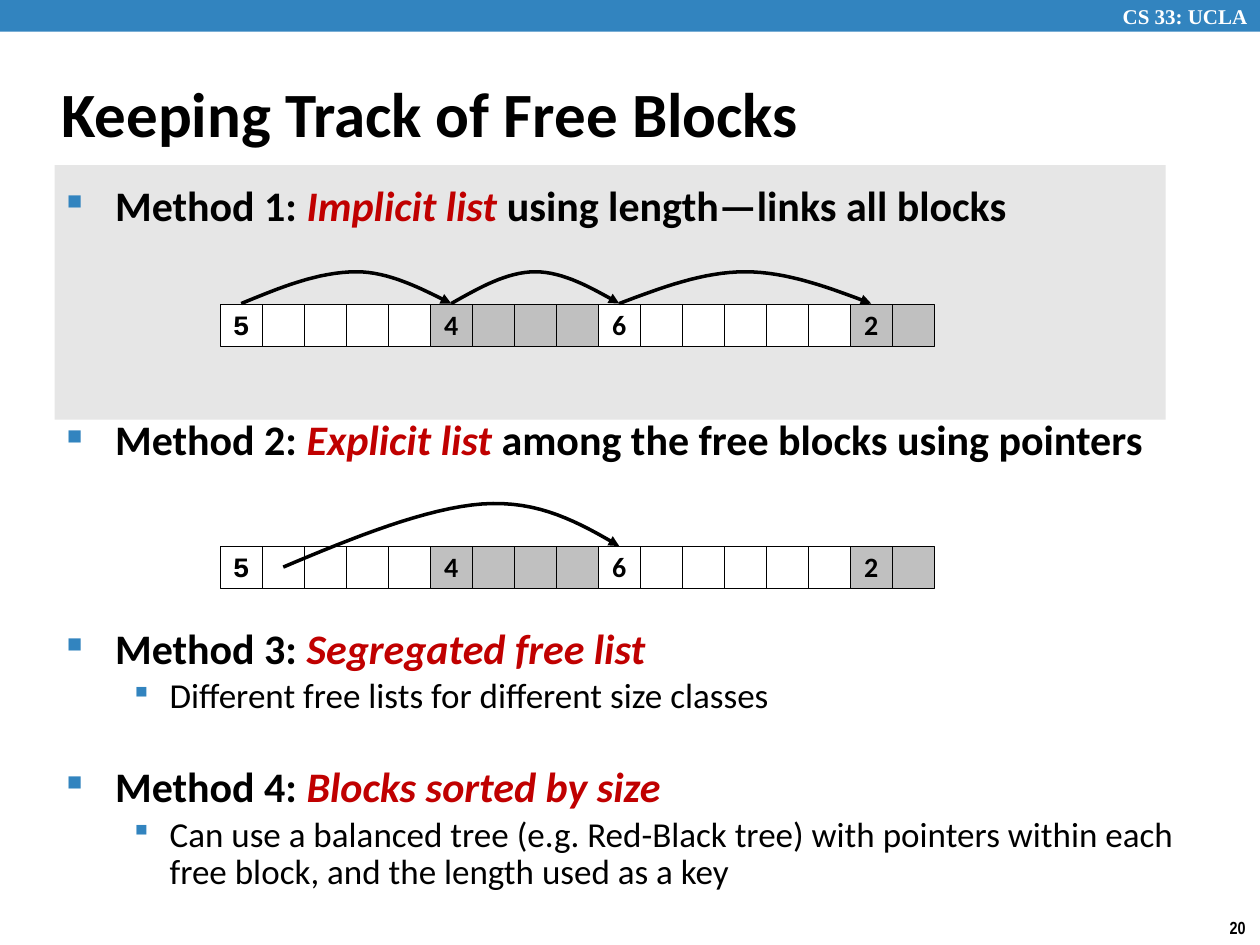
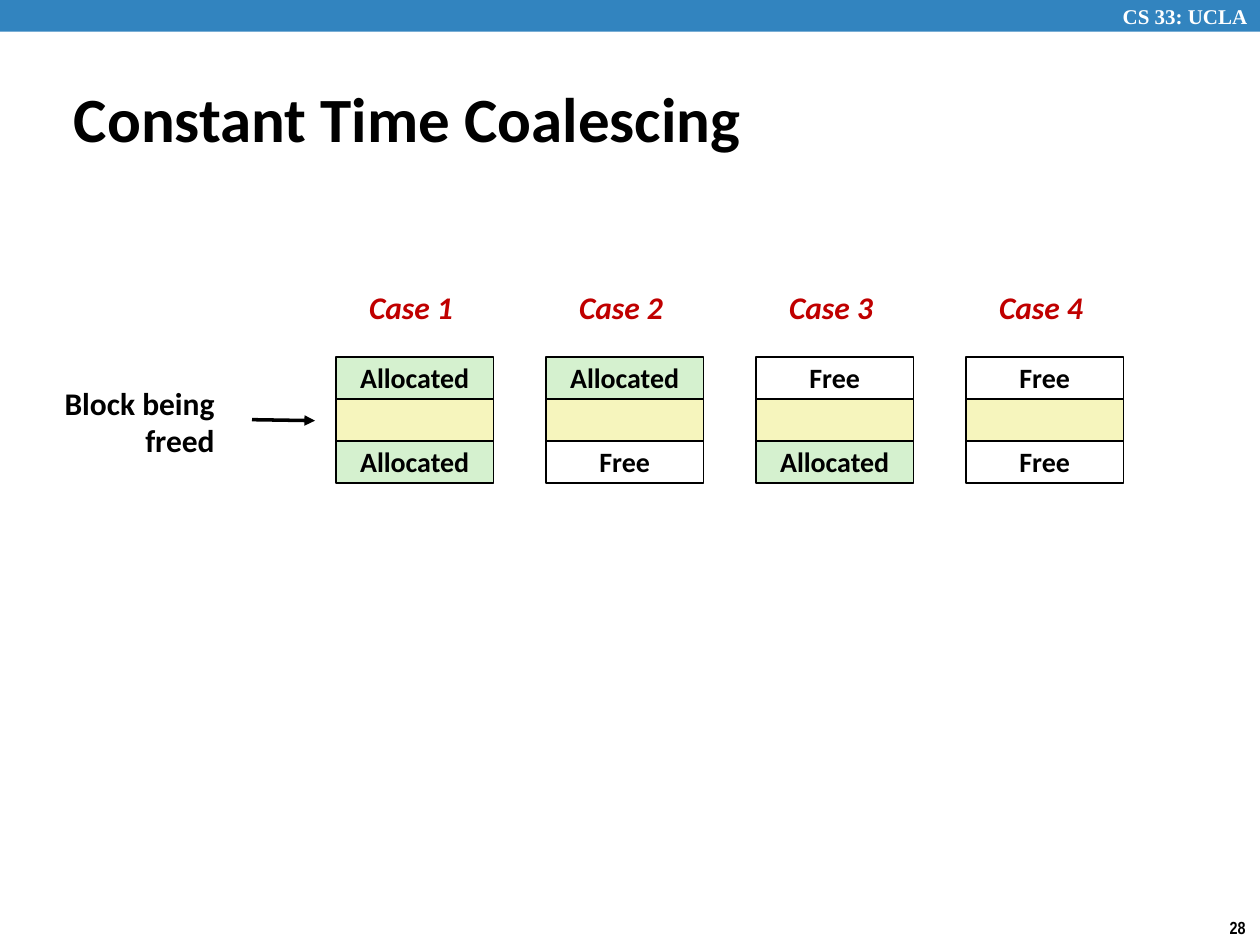
import pptx
import pptx.util
import pptx.dml.color
import pptx.enum.shapes
import pptx.enum.text
import pptx.oxml
import pptx.oxml.ns

Cm, Pt = pptx.util.Cm, pptx.util.Pt
RGBColor = pptx.dml.color.RGBColor
SHAPE = pptx.enum.shapes.MSO_SHAPE
ALIGN = pptx.enum.text.PP_ALIGN
ANCHOR = pptx.enum.text.MSO_ANCHOR

BLUE = RGBColor(0x32, 0x84, 0xBF)
RED = RGBColor(0xC0, 0x00, 0x00)
BLACK = RGBColor(0x00, 0x00, 0x00)
WHITE = RGBColor(0xFF, 0xFF, 0xFF)
PANEL_GREY = RGBColor(0xE6, 0xE6, 0xE6)
USED_GREY = RGBColor(0xC0, 0xC0, 0xC0)
GREEN = RGBColor(0xD5, 0xF1, 0xCF)
YELLOW = RGBColor(0xF6, 0xF5, 0xBD)

# Lengths in centimetres
SLIDE_W, SLIDE_H = 25.4, 19.05
CELL = 2.54 / 3
HEAP_LEFT = 4.44
HEAP_BLOCKS = [(5, WHITE), (4, USED_GREY), (6, WHITE), (2, USED_GREY)]


# Text
def style(font, size, color=BLACK, name="Calibri", bold=True, italic=False):
    font.name, font.size = name, Pt(size)
    font.bold, font.italic = bold, italic
    font.color.rgb = color


def add_text(s, at, text, size, align=ALIGN.LEFT, anchor=ANCHOR.TOP,
             spacing=None, **font):
    tf = s.shapes.add_textbox(*map(Cm, at)).text_frame
    tf.word_wrap = False
    tf.vertical_anchor = anchor
    tf.text = text
    for p in tf.paragraphs:
        p.alignment = align
        p.line_spacing = spacing
        for r in p.runs:
            style(r.font, size, **font)


def add_bullet(p, char, percent, margin, hang):
    pPr = p._p.get_or_add_pPr()
    pPr.set("marL", str(Cm(margin)))
    pPr.set("indent", str(-Cm(hang)))
    ns = pptx.oxml.ns.nsdecls("a")
    for xml in (f'<a:buClr {ns}><a:srgbClr val="{BLUE}"/></a:buClr>',
                f'<a:buSzPct {ns} val="{percent * 1000}"/>',
                f'<a:buChar {ns} char="{char}"/>'):
        pPr.append(pptx.oxml.parse_xml(xml))


def add_method(p, label, term, rest, before, spacing):
    add_bullet(p, "■", 50, 0.97, 0.97)
    p.space_before, p.line_spacing = Pt(before), spacing
    for text, is_term in ((label, False), (term, True), (rest, False)):
        if text:
            r = p.add_run()
            r.text = text
            style(r.font, 24, RED if is_term else BLACK, italic=is_term)


def add_detail(p, text):
    p.text = text
    add_bullet(p, "▪", 85, 2.07, 0.79)
    p.space_before, p.line_spacing = Pt(4), 0.88
    style(p.runs[0].font, 20, bold=False)


# Shapes and lines
def add_rect(s, at, fill, line=None, text=None, font_name="Calibri"):
    sp = s.shapes.add_shape(SHAPE.RECTANGLE, *map(Cm, at))
    sp.shadow.inherit = False
    sp.fill.solid()
    sp.fill.fore_color.rgb = fill
    if line is None:
        sp.line.fill.background()
    else:
        sp.line.color.rgb = BLACK
        sp.line.width = Pt(line)
    if text:
        tf = sp.text_frame
        tf.word_wrap = False
        tf.vertical_anchor = ANCHOR.MIDDLE
        tf.text = text
        p = tf.paragraphs[0]
        p.alignment, p.line_spacing = ALIGN.CENTER, 0.98
        style(p.runs[0].font, 16, name=font_name)


def set_arrow(sp):
    sp.line.color.rgb = BLACK
    sp.line.width = Pt(2)
    ns = pptx.oxml.ns.nsdecls("a")
    sp.line._get_or_add_ln().append(
        pptx.oxml.parse_xml(f'<a:tailEnd {ns} type="triangle"/>'))


def bezier(a, b, c, d, t):
    u = 1 - t
    return tuple(u**3 * i + 3 * u * u * t * j + 3 * u * t * t * k + t**3 * m
                 for i, j, k, m in zip(a, b, c, d))


def add_curve(s, pts, steps=16):
    """Curved arrow through two joined cubic curves (seven points)."""
    path_pts = [bezier(*pts[i:i + 4], n / steps)
                for i in (0, 3) for n in range(1, steps + 1)]
    fb = s.shapes.build_freeform(*map(Cm, pts[0]))
    fb.add_line_segments([(Cm(x), Cm(y)) for x, y in path_pts], close=False)
    sp = fb.convert_to_shape()
    sp.shadow.inherit = False
    sp.fill.background()
    set_arrow(sp)


def add_arc(s, x1, x2, y, peak=0.5, rise=0.64):
    fractions = [0, peak / 3, 2 * peak / 3, peak,
                 (1 + 2 * peak) / 3, (2 + peak) / 3, 1]
    heights = [0, 0.5, 1, 1, 1, 0.5, 0]
    add_curve(s, [(x1 + f * (x2 - x1), y - h * rise)
                  for f, h in zip(fractions, heights)])


def add_heap(s, top):
    """Row of words; returns the centre of each block's first word."""
    centres, x = [], HEAP_LEFT
    for length, fill in HEAP_BLOCKS:
        centres.append(x + CELL / 2)
        for word in range(length):
            add_rect(s, (x, top, CELL, CELL), fill, 0.25,
                     str(length) if word == 0 else None,
                     "Courier New" if length == 5 else "Calibri")
            x += CELL
    return centres


# Slides
def new_slide(prs, number, title, title_at):
    s = prs.slides.add_slide(prs.slide_layouts[6])
    add_rect(s, (0, 0, SLIDE_W, 0.64), BLUE)
    add_text(s, (21.4, 0, 4, 0.64), "CS 33: UCLA", 12, align=ALIGN.RIGHT,
             anchor=ANCHOR.MIDDLE, color=WHITE, name="Times New Roman")
    add_text(s, (24.54, 18.36, 0.86, 0.69), str(number), 10,
             name="Arial Narrow")
    add_text(s, title_at, title, 36, anchor=ANCHOR.MIDDLE)
    return s


def free_blocks_slide(prs):
    s = new_slide(prs, 20, "Keeping Track of Free Blocks",
                  (0.99, 1.2, 21.08, 2.11))
    add_rect(s, (1.1, 3.33, 22.4, 5.13), PANEL_GREY)

    # Methods
    tf = s.shapes.add_textbox(*map(Cm, (1.1, 3.5, 23.04, 14.89))).text_frame
    tf.word_wrap = True
    add_method(tf.paragraphs[0], "Method 1: ", "Implicit list ",
               "using length—links all blocks", 0, 1.0)
    add_method(tf.add_paragraph(), "Method 2: ", "Explicit list ",
               "among the free blocks using pointers", 105, 1.0)
    add_method(tf.add_paragraph(), "Method 3: ", "Segregated free list",
               "", 95, 0.83)
    add_detail(tf.add_paragraph(),
               "Different free lists for different size classes")
    add_method(tf.add_paragraph(), "Method 4: ", "Blocks sorted by size",
               "", 30, 0.83)
    add_detail(tf.add_paragraph(),
               "Can use a balanced tree (e.g. Red-Black tree) with pointers "
               "within each free block, and the length used as a key")

    # Implicit list: each block leads to the next
    top = 6.14
    centres = add_heap(s, top)
    for x1, x2, peak in zip(centres, centres[1:], (0.55, 0.5, 0.5)):
        add_arc(s, x1, x2, top - 0.02, peak)

    # Explicit list: pointer from one free block to the next
    top = 11.01
    centres = add_heap(s, top)
    add_curve(s, [(centres[0] + CELL, top + CELL / 2), (7.16, 10.82),
                  (8.61, 10.24), (9.73, 10.16), (10.87, 10.08),
                  (11.68, 10.54), (centres[2], top)])


def coalescing_slide(prs):
    s = new_slide(prs, 28, "Constant Time Coalescing",
                  (1.24, 1.57, 19.51, 1.6))
    fills = {"Allocated": GREEN, "Free": WHITE, "": YELLOW}
    cases = [("Allocated", "Allocated"), ("Allocated", "Free"),
             ("Free", "Allocated"), ("Free", "Free")]
    left, top, pitch, width = 6.77, 7.2, 5 * CELL, 3.18

    # Case columns
    for i, (above, below) in enumerate(cases):
        x = left + i * pitch
        add_text(s, (x + 0.42, 5.72, 2.21, 1.02), f"Case {i + 1}", 18,
                 spacing=0.98, color=RED, italic=True)
        for row, state in enumerate((above, "", below)):
            add_rect(s, (x, top + row * CELL, width, CELL),
                     fills[state], 1, state)

    # Pointer to the freed block
    add_text(s, (1.02, 7.65, 3.56, 1.78), "Block being\nfreed", 18,
             align=ALIGN.RIGHT, spacing=0.98)
    cn = s.shapes.add_connector(pptx.enum.shapes.MSO_CONNECTOR.STRAIGHT,
                                Cm(5.08), Cm(8.46), Cm(6.35), Cm(8.48))
    set_arrow(cn)
    cn._element.spPr.append(pptx.oxml.parse_xml(
        f'<a:effectLst {pptx.oxml.ns.nsdecls("a")}/>'))


def main():
    prs = pptx.Presentation()
    prs.slide_width, prs.slide_height = Cm(SLIDE_W), Cm(SLIDE_H)
    free_blocks_slide(prs)
    coalescing_slide(prs)
    prs.save("out.pptx")


if __name__ == "__main__":
    main()
